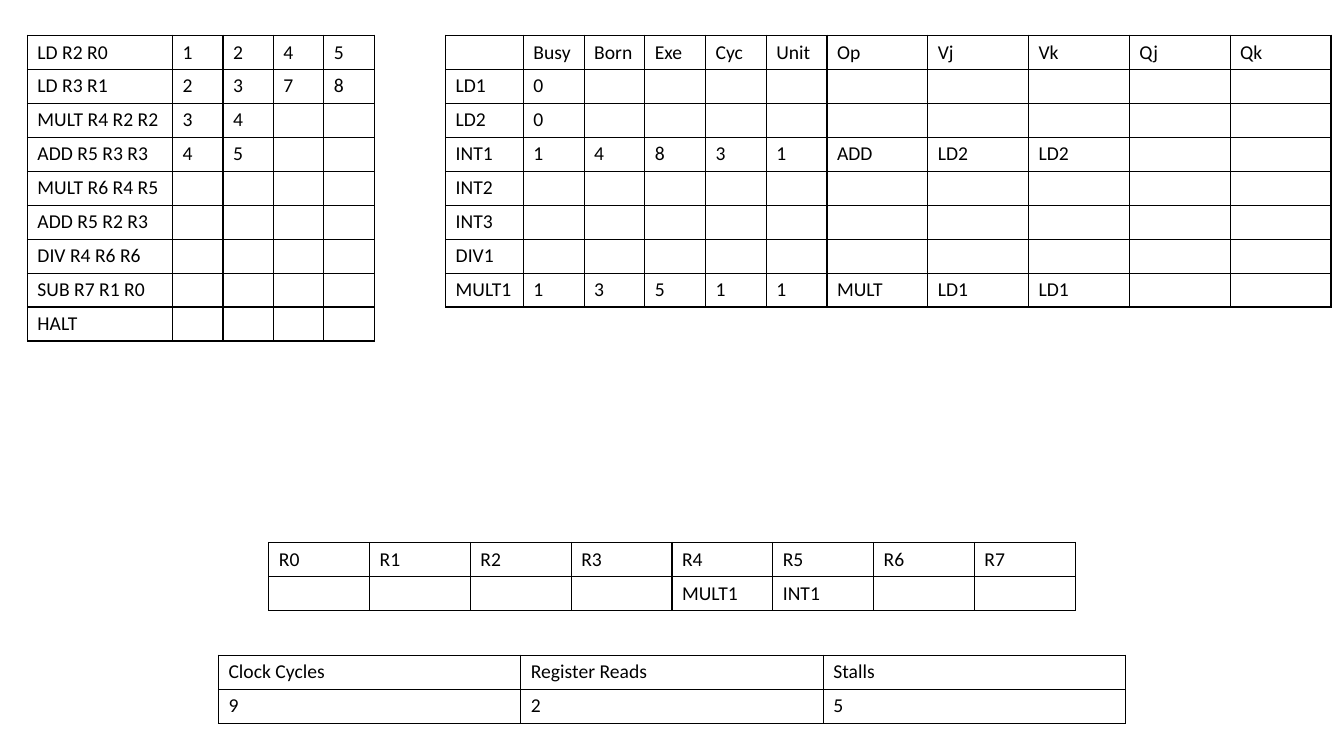
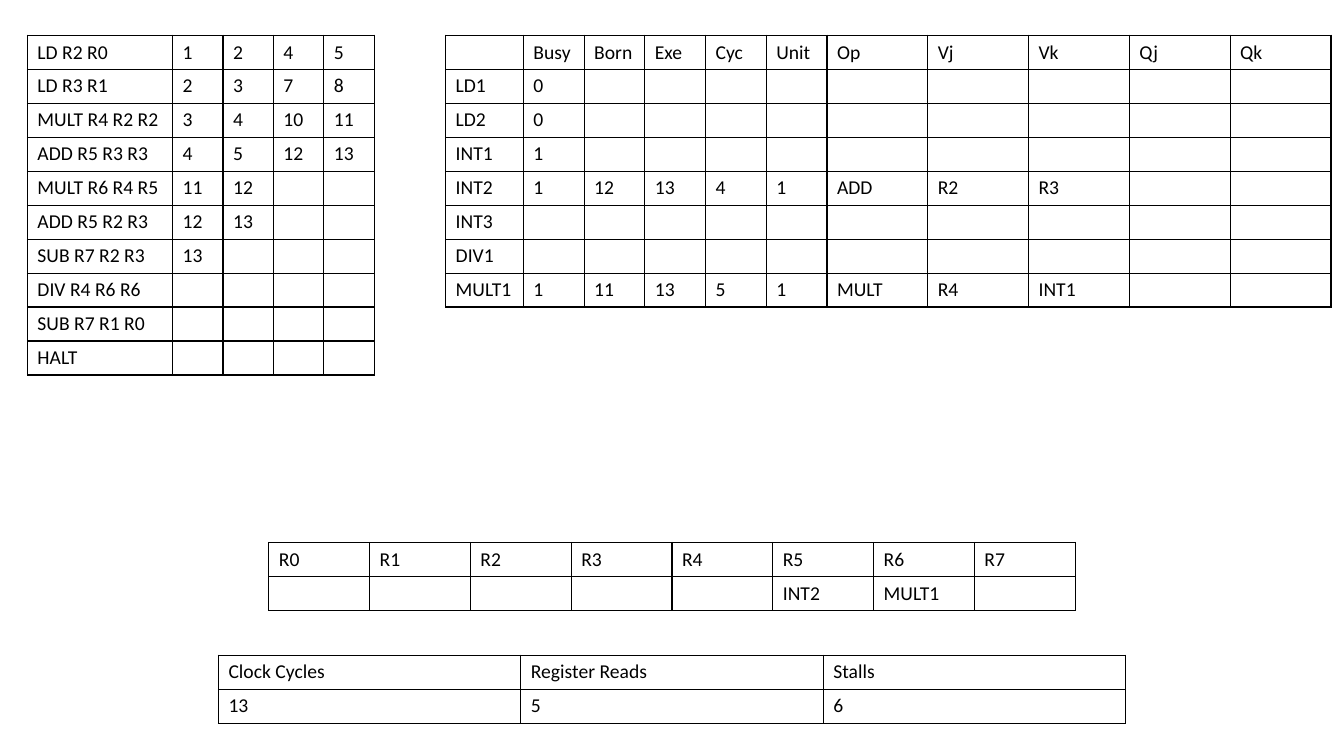
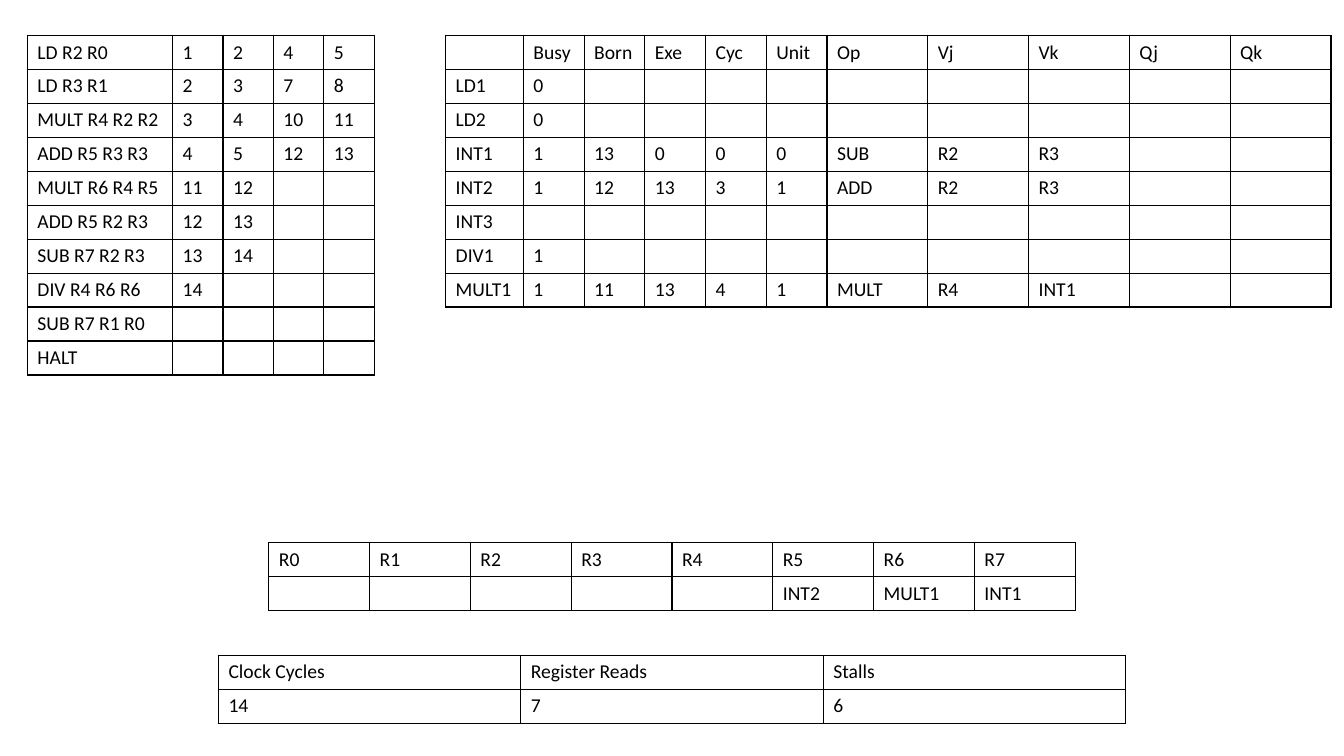
from lxml.etree import SubElement
from pptx import Presentation
from pptx.dml.color import RGBColor
from pptx.oxml.ns import qn
from pptx.util import Cm, Pt

COLORS = {"ink": "000000", "paper": "FFFFFF"}
SLIDE_W, SLIDE_H = 33.87, 19.05
TOP = 0.89

PROGRAM = ["LD R2 R0", "LD R3 R1", "MULT R4 R2 R2", "ADD R5 R3 R3", "MULT R6 R4 R5",
           "ADD R5 R2 R3", "SUB R7 R2 R3", "DIV R4 R6 R6", "SUB R7 R1 R0", "HALT"]
SHORT_PROGRAM = [step for step in PROGRAM if step != "SUB R7 R2 R3"]
UNIT_HEADS = ["", "Busy", "Born", "Exe", "Cyc", "Unit", "Op", "Vj", "Vk", "Qj", "Qk"]
UNITS = ["LD1", "LD2", "INT1", "INT2", "INT3", "DIV1", "MULT1"]
REGISTERS = [f"R{i}" for i in range(8)]
TOTALS = ["Clock Cycles", "Register Reads", "Stalls"]

STATES = [
    {
        "program": SHORT_PROGRAM,
        "times": ["1 2 4 5", "2 3 7 8", "3 4", "4 5"],
        "units": {"LD1": "0", "LD2": "0", "INT1": "1 4 8 3 1 ADD LD2 LD2",
                  "MULT1": "1 3 5 1 1 MULT LD1 LD1"},
        "registers": {"R4": "MULT1", "R5": "INT1"},
        "totals": "9 2 5",
    },
    {
        "program": PROGRAM,
        "times": ["1 2 4 5", "2 3 7 8", "3 4 10 11", "4 5 12 13", "11 12", "12 13", "13"],
        "units": {"LD1": "0", "LD2": "0", "INT1": "1", "INT2": "1 12 13 4 1 ADD R2 R3",
                  "MULT1": "1 11 13 5 1 MULT R4 INT1"},
        "registers": {"R5": "INT2", "R6": "MULT1"},
        "totals": "13 5 6",
    },
    {
        "program": PROGRAM,
        "times": ["1 2 4 5", "2 3 7 8", "3 4 10 11", "4 5 12 13", "11 12", "12 13", "13 14",
                  "14"],
        "units": {"LD1": "0", "LD2": "0", "INT1": "1 13 0 0 0 SUB R2 R3",
                  "INT2": "1 12 13 3 1 ADD R2 R3", "DIV1": "1",
                  "MULT1": "1 11 13 4 1 MULT R4 INT1"},
        "registers": {"R5": "INT2", "R6": "MULT1", "R7": "INT1"},
        "totals": "14 7 6",
    },
]


def write(tf, text, font="Calibri", size=14, color="ink"):
    p = tf.paragraphs[0]
    if not text:
        SubElement(p._p, qn("a:endParaRPr"), sz=str(size * 100))
        return
    r = p.add_run()
    r.text = text
    r.font.name = font
    r.font.size = Pt(size)
    r.font.color.rgb = RGBColor.from_string(COLORS[color])


class Deck:
    row_height = 0.85
    border = 1

    def __init__(self):
        self.prs = Presentation()
        self.prs.slide_width, self.prs.slide_height = Cm(SLIDE_W), Cm(SLIDE_H)
        self.s = None

    def slide(self):
        self.s = self.prs.slides.add_slide(self.prs.slide_layouts[6])
        fill = self.s.background.fill
        fill.solid()
        fill.fore_color.rgb = RGBColor.from_string(COLORS["paper"])

    def outline(self, cell):
        tcPr = cell._tc.get_or_add_tcPr()
        for i, side in enumerate(("lnL", "lnR", "lnT", "lnB")):
            ln = SubElement(tcPr, qn(f"a:{side}"), w=str(Pt(self.border)))
            solid = SubElement(ln, qn("a:solidFill"))
            SubElement(solid, qn("a:srgbClr"), val=COLORS["ink"])
            tcPr.insert(i, ln)

    def table(self, rows, widths, top, left=None):
        if left is None:
            left = (SLIDE_W - sum(widths)) / 2
        sp = self.s.shapes.add_table(len(rows), len(widths), Cm(left), Cm(top),
                                     Cm(sum(widths)), Cm(self.row_height * len(rows)))
        table = sp.table
        table.first_row = table.horz_banding = False
        for column, width in zip(table.columns, widths):
            column.width = Cm(width)
        for i, row in enumerate(rows):
            table.rows[i].height = Cm(self.row_height)
            for j in range(len(widths)):
                cell = table.cell(i, j)
                cell.fill.background()
                self.outline(cell)
                write(cell.text_frame, row[j] if j < len(row) else "")


def main():
    deck = Deck()
    for state in STATES:
        deck.slide()
        times = state["times"]
        steps = [[step] + (times[i].split() if i < len(times) else [])
                 for i, step in enumerate(state["program"])]
        units = [[unit] + state["units"].get(unit, "").split() for unit in UNITS]
        holders = [state["registers"].get(name, "") for name in REGISTERS]
        deck.table(steps, [3.66] + [1.27] * 4, TOP, left=0.69)
        deck.table([UNIT_HEADS] + units, [1.96] + [1.53] * 5 + [2.54] * 5, TOP, left=11.23)
        deck.table([REGISTERS, holders], [2.54] * 8, 13.67)
        deck.table([TOTALS, state["totals"].split()], [7.62] * 3, 16.51)
    deck.prs.save("out.pptx")


if __name__ == "__main__":
    main()
